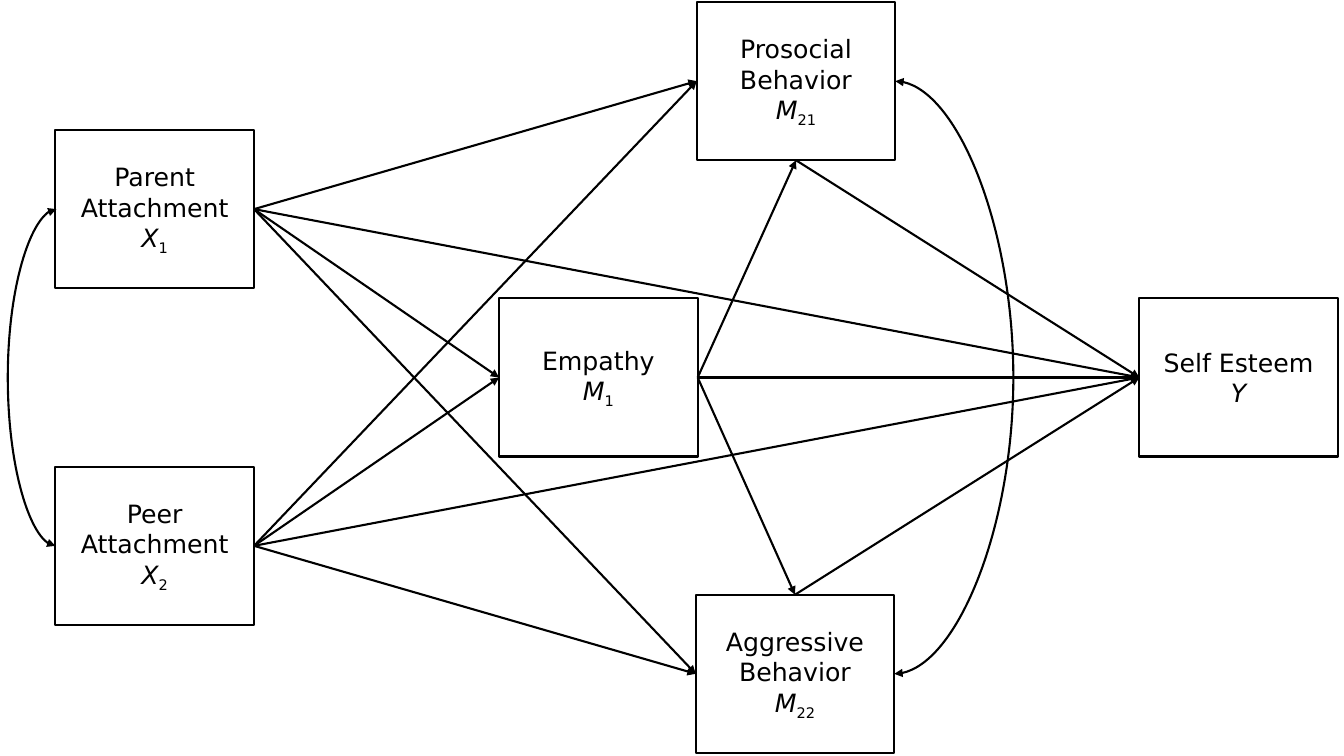
from lxml.etree import SubElement
from pptx import Presentation
from pptx.dml.color import RGBColor
from pptx.enum.shapes import MSO_CONNECTOR as Link, MSO_SHAPE as Preset
from pptx.enum.text import MSO_ANCHOR as Anchor, PP_ALIGN as Align
from pptx.oxml.ns import qn
from pptx.util import Inches, Pt

COLORS = {"ink": "000000", "paper": "FFFFFF"}
FONT = "DejaVu Sans"
BOX_WIDTH, BOX_HEIGHT = 1.97, 1.57
TOP, LEFT, BOTTOM, RIGHT = range(4)

VARIABLES = {
    "esteem": (11.3, 2.96, "Self Esteem", "Y", ""),
    "aggressive": (6.9, 5.9, "Aggressive Behavior", "M", "22"),
    "empathy": (4.95, 2.96, "Empathy", "M", "1"),
    "prosocial": (6.91, 0.02, "Prosocial Behavior", "M", "21"),
    "parent": (0.55, 1.29, "Parent Attachment", "X", "1"),
    "peer": (0.55, 4.63, "Peer Attachment", "X", "2"),
}

EFFECTS = [
    (source, RIGHT, target, LEFT)
    for target in ("empathy", "prosocial", "aggressive", "esteem")
    for source in ("parent", "peer")
] + [
    ("empathy", RIGHT, "esteem", LEFT),
    ("empathy", RIGHT, "prosocial", BOTTOM),
    ("empathy", RIGHT, "aggressive", TOP),
    ("prosocial", BOTTOM, "esteem", LEFT),
    ("aggressive", TOP, "esteem", LEFT),
]


def color(name):
    return RGBColor.from_string(COLORS[name])


def add_text(para, text, size=18, italic=False, baseline=None):
    span = para.add_run()
    span.text = text
    span.font.name = FONT
    span.font.size = Pt(size)
    span.font.italic = italic
    span.font.color.rgb = color("ink")
    if baseline is not None:
        span.font._element.set("baseline", str(baseline))


def style_line(line):
    line.color.rgb = color("ink")
    line.width = Pt(1.5)


def add_variable(page, left, top, label, symbol, index):
    box = page.shapes.add_shape(
        Preset.RECTANGLE, Inches(left), Inches(top), Inches(BOX_WIDTH), Inches(BOX_HEIGHT)
    )
    box.shadow.inherit = False
    box.fill.solid()
    box.fill.fore_color.rgb = color("paper")
    style_line(box.line)
    frame = box.text_frame
    frame.word_wrap = True
    frame.vertical_anchor = Anchor.MIDDLE
    name_para, symbol_para = frame.paragraphs[0], frame.add_paragraph()
    name_para.alignment = symbol_para.alignment = Align.CENTER
    add_text(name_para, label)
    add_text(symbol_para, symbol, italic=True)
    if index:
        add_text(symbol_para, index, baseline=-25000)
    return box


def style_arrow(arrow, ends):
    style_line(arrow.line)
    outline = arrow.line._get_or_add_ln()
    for end in ends:
        SubElement(outline, qn(f"a:{end}"), type="triangle")
    SubElement(arrow._element.spPr, qn("a:effectLst"))


def add_effect(page, source, source_side, target, target_side):
    arrow = page.shapes.add_connector(Link.STRAIGHT, 0, 0, 0, 0)
    arrow.begin_connect(source, source_side)
    arrow.end_connect(target, target_side)
    style_arrow(arrow, ["tailEnd"])


def add_covariance(page, upper, lower, start, end, crest):
    start_x, end_x = Inches(start), Inches(end)
    arrow = page.shapes.add_connector(
        Link.CURVE,
        start_x, upper.top + upper.height // 2,
        end_x, lower.top + lower.height // 2,
    )
    bend = round((Inches(crest) - start_x) / (end_x - start_x) * 100000)
    guides = arrow._element.spPr.find(qn("a:prstGeom")).get_or_add_avLst()
    SubElement(guides, qn("a:gd"), name="adj1", fmla=f"val {bend}")
    style_arrow(arrow, ["headEnd", "tailEnd"])


def add_path_model(page):
    boxes = {key: add_variable(page, *details) for key, details in VARIABLES.items()}
    for source, source_side, target, target_side in EFFECTS:
        add_effect(page, boxes[source], source_side, boxes[target], target_side)
    add_covariance(page, boxes["parent"], boxes["peer"], 0.56, 0.55, 0.07)
    add_covariance(page, boxes["prosocial"], boxes["aggressive"], 8.88, 8.87, 10.07)


def main():
    deck = Presentation()
    deck.slide_width, deck.slide_height = Inches(13.33), Inches(7.5)
    page = deck.slides.add_slide(deck.slide_layouts[6])
    add_path_model(page)
    deck.save("out.pptx")


if __name__ == "__main__":
    main()
